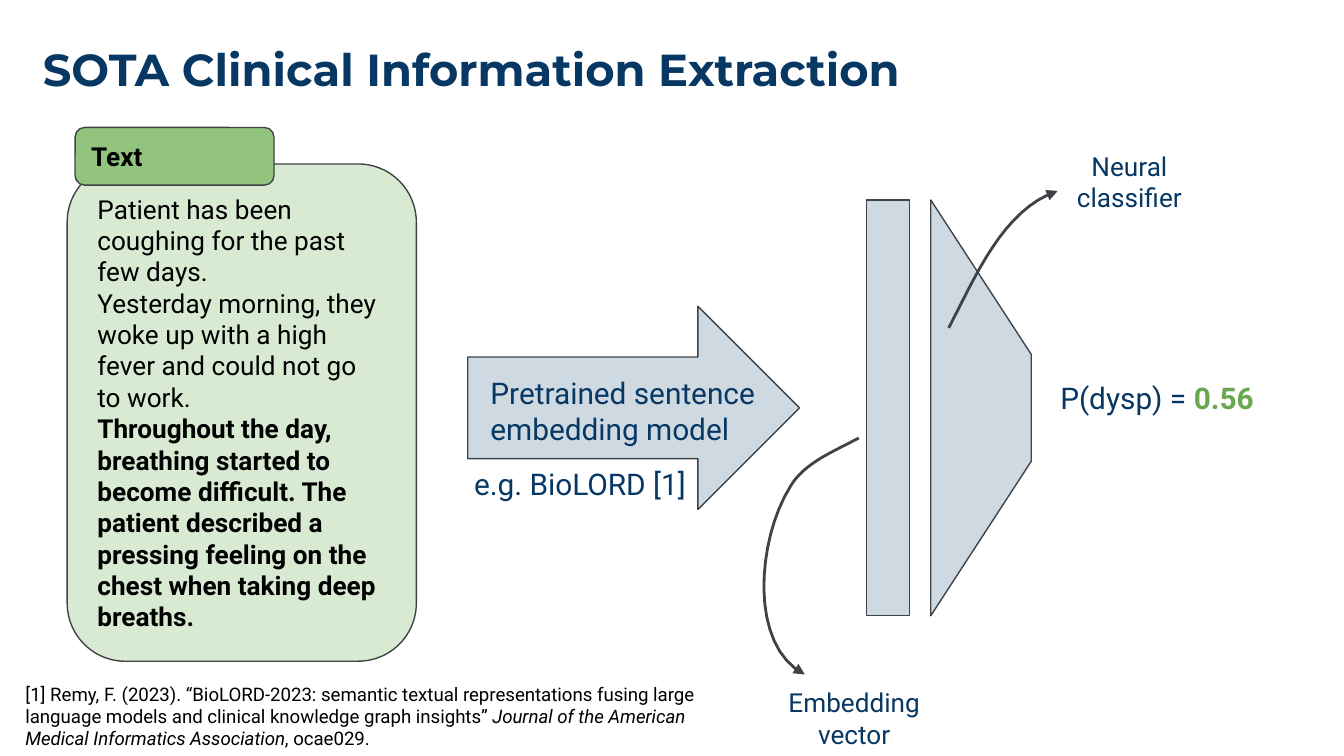
from lxml import etree
from pptx import Presentation
from pptx.dml.color import RGBColor
from pptx.enum.shapes import MSO_SHAPE
from pptx.enum.text import MSO_ANCHOR, PP_ALIGN
from pptx.oxml.ns import qn
from pptx.util import Cm, Pt

NAVY = RGBColor(0x07, 0x37, 0x63)
BLACK = RGBColor(0x00, 0x00, 0x00)
OUTLINE = RGBColor(0x3F, 0x42, 0x47)
STEEL = RGBColor(0xCF, 0xD9, 0xE1)
PALE_GREEN = RGBColor(0xD9, 0xEA, 0xD3)
MID_GREEN = RGBColor(0x93, 0xC4, 0x7D)
SCORE_GREEN = RGBColor(0x6A, 0xA8, 0x4F)
LEFT, CENTER = PP_ALIGN.LEFT, PP_ALIGN.CENTER
TOP, MIDDLE = MSO_ANCHOR.TOP, MSO_ANCHOR.MIDDLE
ROUNDED, RECTANGLE = MSO_SHAPE.ROUNDED_RECTANGLE, MSO_SHAPE.RECTANGLE
TRAPEZOID, RIGHT_ARROW = MSO_SHAPE.TRAPEZOID, MSO_SHAPE.RIGHT_ARROW
INSET = Cm(0.25)
CURVE_STEPS = 16


def write(sp, *paragraphs, size=14, color=NAVY, font="Roboto", align=LEFT,
          anchor=TOP, bold=False):
    """Each paragraph is a string or a list of (text, font attributes) runs."""
    tf = sp.text_frame
    tf.word_wrap = True
    tf.vertical_anchor = anchor
    tf.margin_left = tf.margin_right = tf.margin_top = tf.margin_bottom = INSET
    for i, content in enumerate(paragraphs):
        p = tf.add_paragraph() if i else tf.paragraphs[0]
        p.alignment = align
        runs = [(content, {})] if isinstance(content, str) else content
        for text, style in runs:
            r = p.add_run()
            r.text = text
            r.font.name, r.font.size = font, Pt(size)
            r.font.bold = style.get("bold", bold)
            r.font.italic = style.get("italic", False)
            r.font.color.rgb = style.get("color", color)


def add_text(s, x, y, w, h, *paragraphs, **style):
    write(s.shapes.add_textbox(Cm(x), Cm(y), Cm(w), Cm(h)), *paragraphs, **style)


def add_block(s, kind, x, y, w, h, fill):
    sp = s.shapes.add_shape(kind, Cm(x), Cm(y), Cm(w), Cm(h))
    sp.shadow.inherit = False
    sp.fill.solid()
    sp.fill.fore_color.rgb = fill
    sp.line.color.rgb = OUTLINE
    sp.line.width = Pt(0.75)
    return sp


def bezier(p0, p1, p2, p3):
    """Points along a cubic curve, without its start."""
    for i in range(1, CURVE_STEPS + 1):
        t = i / CURVE_STEPS
        u = 1 - t
        yield tuple(u**3 * a + 3 * u * u * t * b + 3 * u * t * t * c + t**3 * d
                    for a, b, c, d in zip(p0, p1, p2, p3))


def curved_arrow(s, x, y, controls):
    """Arrow along joined cubic curves; controls are offsets from x, y in cm."""
    points = [controls[0]]
    for i in range(0, len(controls) - 1, 3):
        points += bezier(*controls[i:i + 4])
    start, *rest = [(Cm(x + dx), Cm(y + dy)) for dx, dy in points]
    builder = s.shapes.build_freeform(*start)
    builder.add_line_segments(rest, close=False)
    sp = builder.convert_to_shape()
    sp.shadow.inherit = False
    sp.fill.background()
    sp.line.color.rgb = OUTLINE
    sp.line.width = Pt(1.5)
    etree.SubElement(sp.line._get_or_add_ln(), qn("a:tailEnd"), type="triangle")


def add_title(s, x, y, w, h):
    title = s.shapes.title
    title.left, title.top, title.width, title.height = Cm(x), Cm(y), Cm(w), Cm(h)
    write(title, "SOTA Clinical Information Extraction",
          size=24, font="Montserrat", bold=True)


def add_note_panel(s, x, y, w, h):
    drop = 0.69
    body = add_block(s, ROUNDED, x, y + drop, w, h - drop, PALE_GREEN)
    write(body,
          "Patient has been coughing for the past few days.",
          "Yesterday morning, they woke up with a high fever and could not go to work.",
          [("Throughout the day, breathing started to become difficult. "
            "The patient described a pressing feeling on the chest "
            "when taking deep breaths.", {"bold": True})],
          color=BLACK, anchor=MIDDLE)
    tab = add_block(s, ROUNDED, x + 0.15, y, 3.76, 1.09, MID_GREEN)
    write(tab, "Text", color=BLACK, anchor=MIDDLE, bold=True)


def add_classifier(s, x, y, w, h):
    add_text(s, x + 3.41, y + 3.15, 4.5, 1.37,
             [("P(dysp) = ", {}), ("0.56", {"color": SCORE_GREEN, "bold": True})],
             size=16)
    add_block(s, RECTANGLE, x, y, 0.81, h, STEEL)

    depth = 1.9
    # The trapezoid is laid out flat about its centre, then turned.
    funnel = add_block(s, TRAPEZOID, x + w - (depth + h) / 2,
                       y + (h - depth) / 2, h, depth, STEEL)
    funnel.adjustments[0] = 1.537
    funnel.rotation = 90

    add_text(s, x - 2.33, y + 8.95, 4.19, 0.76, "Embedding vector", align=CENTER)
    curved_arrow(s, x, y, [(-0.15, 4.5), (-0.61, 4.75), (-1.17, 4.96),
                           (-1.44, 5.41), (-2.08, 6.43), (-2.23, 8.44),
                           (-1.17, 8.97)])
    curved_arrow(s, x, y, [(1.55, 2.42), (2.06, 1.45), (2.57, 0.18),
                           (3.61, -0.17)])
    add_text(s, x + 2.87, y - 1.19, 4.19, 0.76, "Neural", "classifier",
             align=CENTER)


def add_embedding_arrow(s, x, y, w, h):
    add_block(s, RIGHT_ARROW, x, y, w, h, STEEL)
    add_text(s, x + 0.18, y + 1.04, 5.84, 2.11,
             "Pretrained sentence embedding model", size=16)
    add_text(s, x - 0.13, y + 2.77, 4.75, 2.11, "e.g. BioLORD [1]", size=16)


def add_reference(s, x, y, w, h):
    add_text(s, x, y, w, h,
             [("[1] Remy, F. (2023). “BioLORD-2023: semantic textual "
               "representations fusing large language models and clinical "
               "knowledge graph insights” ", {}),
              ("Journal of the American Medical Informatics Association",
               {"italic": True}),
              (", ocae029.", {})],
             size=10, color=BLACK)


def main():
    prs = Presentation()
    prs.slide_width, prs.slide_height = Cm(25.4), Cm(14.29)
    s = prs.slides.add_slide(prs.slide_layouts[5])
    add_title(s, 0.56, 0.53, 22.45, 2.39)
    add_note_panel(s, 1.27, 2.41, 6.6, 10.09)
    add_classifier(s, 16.38, 3.78, 3.11, 7.86)
    add_embedding_arrow(s, 8.84, 5.79, 6.27, 3.84)
    add_reference(s, 0.23, 12.65, 13.61, 1.8)
    prs.save("out.pptx")


if __name__ == "__main__":
    main()
